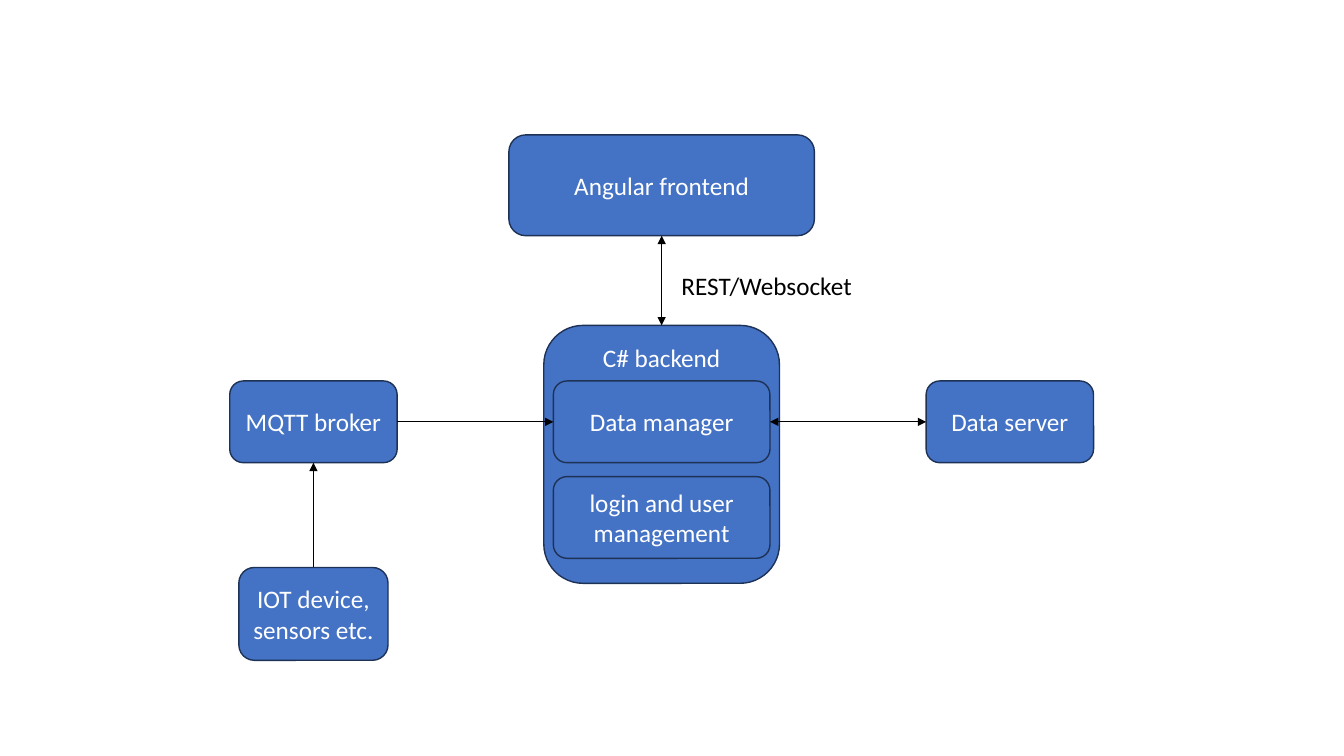
from lxml import etree
from pptx import Presentation
from pptx.dml.color import RGBColor
from pptx.enum.shapes import MSO_CONNECTOR, MSO_SHAPE
from pptx.enum.text import MSO_ANCHOR, PP_ALIGN
from pptx.oxml.ns import qn
from pptx.util import Cm, Pt

ROUND = MSO_SHAPE.ROUNDED_RECTANGLE
LINE = MSO_CONNECTOR.STRAIGHT
TOP, MIDDLE = MSO_ANCHOR.TOP, MSO_ANCHOR.MIDDLE
LEFT, CENTER = PP_ALIGN.LEFT, PP_ALIGN.CENTER
UP_SIDE, LEFT_SIDE, DOWN_SIDE, RIGHT_SIDE = range(4)
FONT = {"name": "Calibri", "size": Pt(18)}
BLUE, NAVY, WHITE, BLACK = "4472C4", "1E3256", "FFFFFF", "000000"


def color(code):
    """Turn a hex string into a colour."""
    return RGBColor.from_string(code)


def write(shape, text, ink, align):
    """Put one styled paragraph into a shape."""
    para = shape.text_frame.paragraphs[0]
    para.alignment = align
    run = para.add_run()
    run.text = text
    for key, value in FONT.items():
        setattr(run.font, key, value)
    run.font.color.rgb = color(ink)


def node(slide, box, text, anchor=MIDDLE):
    """Draw a rounded node that fills the box."""
    shape = slide.shapes.add_shape(ROUND, *map(Cm, box))
    shape.shadow.inherit = False
    shape.fill.solid()
    shape.fill.fore_color.rgb = color(BLUE)
    shape.line.color.rgb = color(NAVY)
    shape.line.width = Pt(1)
    shape.text_frame.word_wrap = True
    shape.text_frame.vertical_anchor = anchor
    write(shape, text, WHITE, CENTER)
    return shape


def arrow(slide, start, out, end, into, tips=("tailEnd",)):
    """Join the sides of two nodes with an arrow."""
    line = slide.shapes.add_connector(LINE, 0, 0, 0, 0)
    line.begin_connect(start, out)
    line.end_connect(end, into)
    line.line.color.rgb = color(BLACK)
    line.line.width = Pt(0.5)
    props = line.line._get_or_add_ln()
    for tip in tips:
        etree.SubElement(props, qn(f"a:{tip}"), type="triangle")
    etree.SubElement(line._element.spPr, qn("a:effectLst"))


def label(slide, box, text):
    """Write a plain one-line label in the box."""
    shape = slide.shapes.add_textbox(*map(Cm, box))
    shape.text_frame.word_wrap = False
    write(shape, text, BLACK, LEFT)


def backend(slide, box):
    """Draw the backend with its two parts; return it and the data part."""
    left, top, width, _ = box
    frame = node(slide, box, "C# backend", TOP)
    pad, head, high, step = 0.24, 1.4, 2.06, 2.41
    parts = [
        node(slide, (left + pad, top + head + i * step, width - 2 * pad, high), text)
        for i, text in enumerate(("Data manager", "login and user management"))
    ]
    return frame, parts[0]


def devices(slide, box):
    """Draw the broker above its devices; return the broker."""
    left, top, width, height = box
    inset, high = 0.23, 2.34
    broker = node(slide, (left, top, width, 2.06), "MQTT broker")
    sensors = node(slide, (left + inset, top + height - high, width - 2 * inset, high),
                   "IOT device, sensors etc.")
    arrow(slide, sensors, UP_SIDE, broker, DOWN_SIDE)
    return broker


def diagram(slide, box):
    """Lay out the whole system around the middle of the box."""
    left, top, width, height = box
    mid, side, row = left + width / 2, 4.22, top + 6.2
    front = node(slide, (mid - 3.85, top, 7.7, 2.54), "Angular frontend")
    frame, data = backend(slide, (mid - 2.97, top + 4.8, 5.94, 6.5))
    broker = devices(slide, (left, row, side, height - 6.2))
    server = node(slide, (left + width - side, row, side, 2.06), "Data server")
    both = ("headEnd", "tailEnd")
    arrow(slide, broker, RIGHT_SIDE, data, LEFT_SIDE)
    arrow(slide, data, RIGHT_SIDE, server, LEFT_SIDE, both)
    arrow(slide, frame, UP_SIDE, front, DOWN_SIDE, both)
    label(slide, (mid + 0.25, top + 3.28, 4.85, 1.02), "REST/Websocket")


deck = Presentation()
deck.slide_width, deck.slide_height = Cm(33.87), Cm(19.05)
page = deck.slides.add_slide(deck.slide_layouts[6])
diagram(page, (5.79, 3.4, 21.77, 13.24))
deck.save("out.pptx")
